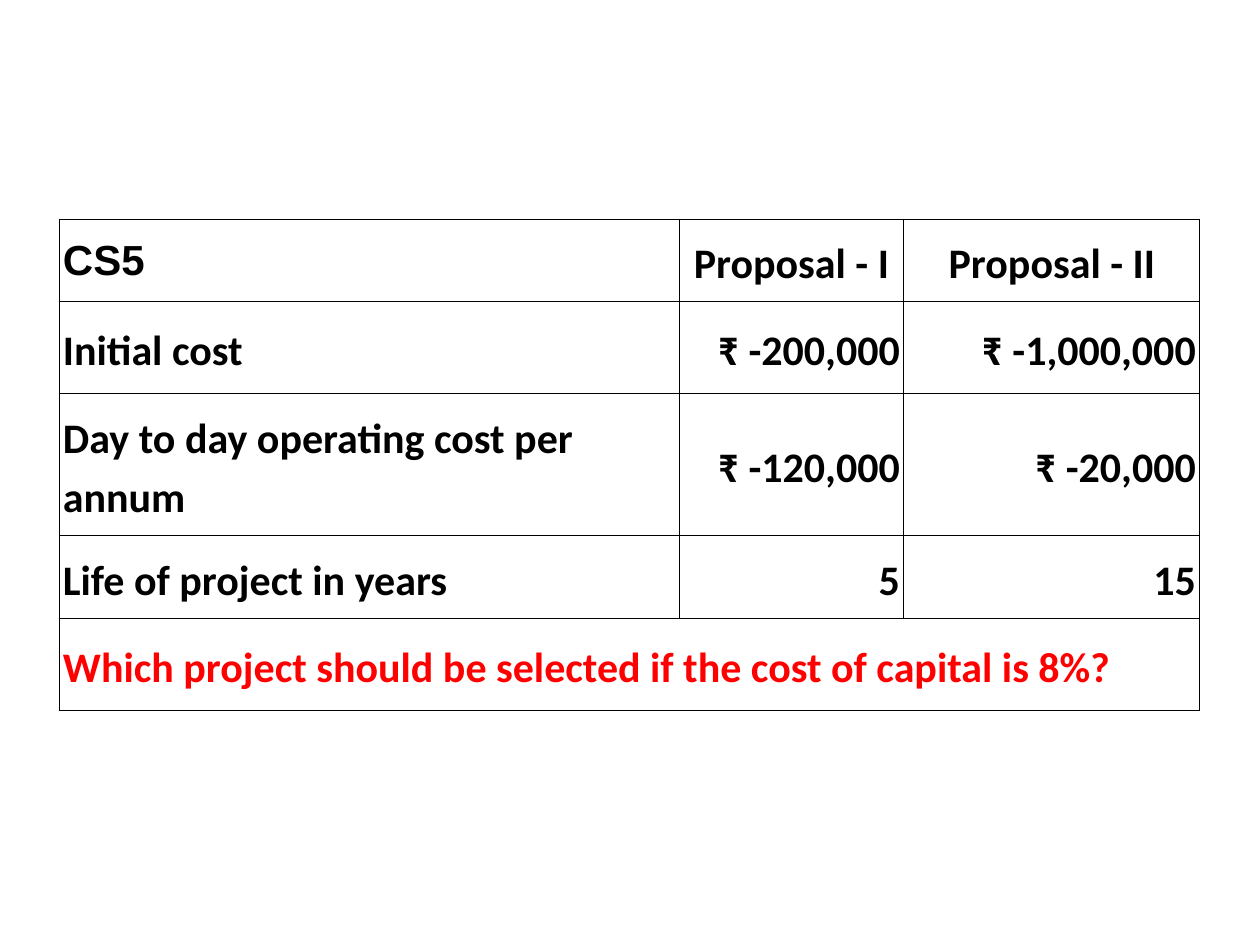
from lxml import etree
from pptx import Presentation
from pptx.dml.color import RGBColor
from pptx.enum.text import MSO_ANCHOR, PP_ALIGN
from pptx.oxml.ns import qn
from pptx.util import Pt

LEFT, MID, RIGHT = PP_ALIGN.LEFT, PP_ALIGN.CENTER, PP_ALIGN.RIGHT
CENTRE = MSO_ANCHOR.MIDDLE
SCALE = 914400 / 126
BLACK, RED = "000000", "FF0000"

COLS = [620, 225, 296]
ROWS = [73, 92, 121, 69, 92]
DATA = [
    ["CS5", "Proposal - I", "Proposal - II"],
    ["Initial cost", "₹ -200,000", "₹ -1,000,000"],
    ["Day to day operating cost per annum", "₹ -120,000", "₹ -20,000"],
    ["Life of project in years", "5", "15"],
    ["Which project should be selected if the cost of capital is 8%?"],
]


def px(n):
    return round(n * SCALE)


def color(code):
    return RGBColor.from_string(code)


def assign(item, values):
    for name, value in values.items():
        setattr(item, name, value)


class Deck:
    font = {"name": "Calibri", "size": Pt(24), "bold": True}
    box = {
        "margin_left": px(4), "margin_right": px(4),
        "margin_top": px(12), "margin_bottom": px(12),
        "vertical_anchor": CENTRE,
    }
    flags = {"first_row": False, "horz_banding": False}
    edge = Pt(0.56)

    def __init__(self, wide, high):
        self.show = Presentation()
        assign(self.show, {"slide_width": px(wide), "slide_height": px(high)})
        self.slide = self.show.slides.add_slide(self.show.slide_layouts[6])

    def grid(self, left, top, cols, rows):
        frame = self.slide.shapes.add_table(
            len(rows), len(cols), px(left), px(top), px(sum(cols)), px(sum(rows)))
        table = frame.table
        assign(table, self.flags)
        for col, width in zip(table.columns, cols):
            col.width = px(width)
        for row, height in zip(table.rows, rows):
            row.height = px(height)
        for cell in table.iter_cells():
            assign(cell, self.box)
            self.border(cell)
            cell.fill.background()
        return table

    def border(self, cell):
        props = cell._tc.get_or_add_tcPr()
        for side in ("lnL", "lnR", "lnT", "lnB"):
            line = etree.SubElement(props, qn("a:" + side), w=str(int(self.edge)))
            fill = etree.SubElement(line, qn("a:solidFill"))
            etree.SubElement(fill, qn("a:srgbClr"), val=BLACK)

    def label(self, cell, text, align=LEFT, ink=BLACK, space=1.15, **style):
        para = cell.text_frame.paragraphs[0]
        assign(para, {"alignment": align, "line_spacing": space})
        run = para.add_run()
        run.text = text
        assign(run.font, {**self.font, **style})
        run.font.color.rgb = color(ink)


def main():
    deck = Deck(1260, 945)
    table = deck.grid(59, 219, COLS, ROWS)
    last = len(ROWS) - 1
    table.cell(last, 0).merge(table.cell(last, len(COLS) - 1))
    for r, row in enumerate(DATA):
        for c, text in enumerate(row):
            look = {"align": LEFT if c == 0 else MID if r == 0 else RIGHT}
            if r == c == 0:
                look.update(name="Arial", space=1.0)
            if r == last:
                look["ink"] = RED
            deck.label(table.cell(r, c), text, **look)
    deck.show.save("out.pptx")


if __name__ == "__main__":
    main()
